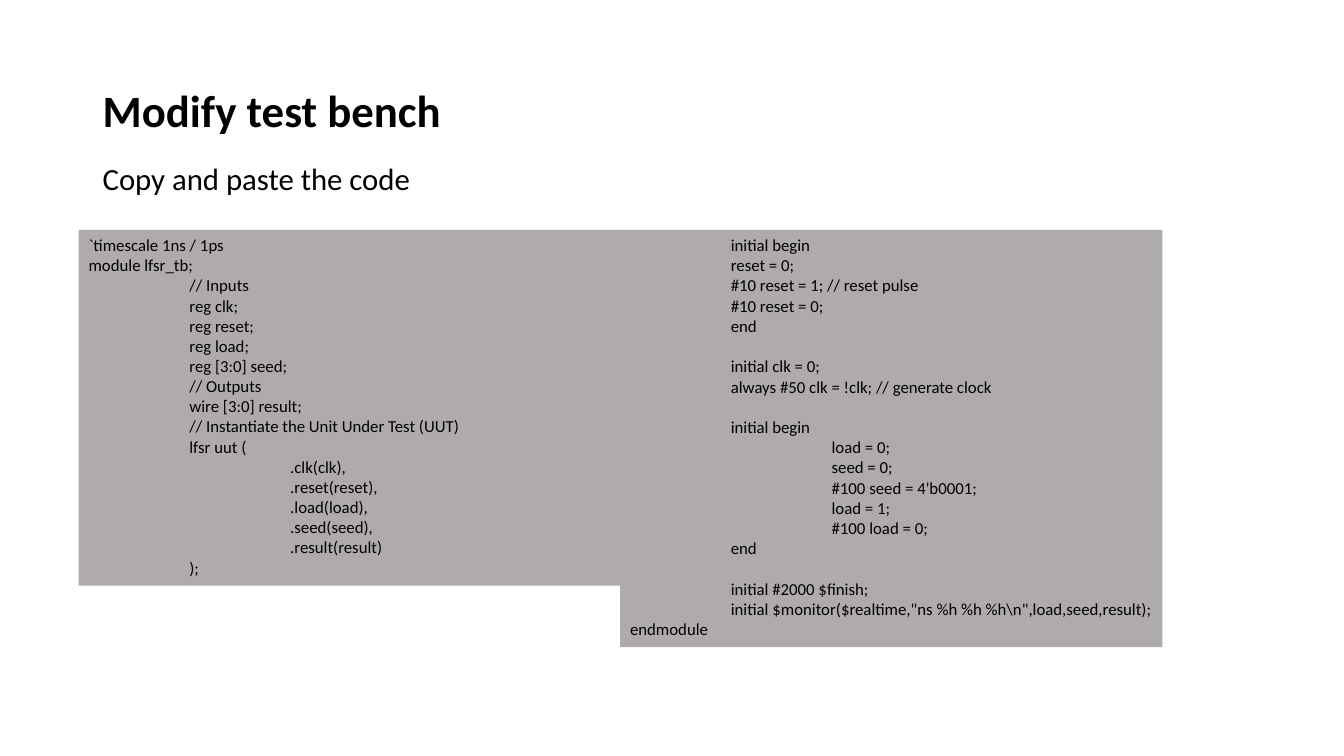
"""Build the slide that shows the test bench code in two panels."""
from dataclasses import dataclass

from pptx import Presentation
from pptx import util as u
from pptx.dml import color
from pptx.enum import shapes, text

EMU_PER_PX = 9144


@dataclass(frozen=True)
class Theme:
    font: str = "Calibri"
    ink: color.RGBColor = color.RGBColor(0, 0, 0)
    panel: color.RGBColor = color.RGBColor(0xAF, 0xAB, 0xAB)
    title_size: int = 32
    body_size: int = 22
    code_size: int = 12
    blank_line: float = 14.65
    heading_spacing: float = 0.9
    tab_px: int = 100
    inset_px: int = 10


@dataclass(frozen=True)
class Box:
    left: int
    top: int
    width: int
    height: int


@dataclass(frozen=True)
class Heading:
    box: Box
    words: str
    size: int
    bold: bool
    anchor: text.MSO_ANCHOR


@dataclass(frozen=True)
class CodePanel:
    box: Box
    code: str


THEME = Theme()

HEADINGS = (
    Heading(Box(92, 40, 1150, 145), "Modify test bench",
            THEME.title_size, True, text.MSO_ANCHOR.MIDDLE),
    Heading(Box(92, 158, 656, 518), "Copy and paste the code",
            THEME.body_size, False, text.MSO_ANCHOR.TOP),
)

DECLARATIONS = """\
`timescale 1ns / 1ps
module lfsr_tb;
    // Inputs
    reg clk;
    reg reset;
    reg load;
    reg [3:0] seed;
    // Outputs
    wire [3:0] result;
    // Instantiate the Unit Under Test (UUT)
    lfsr uut (
        .clk(clk),
        .reset(reset),
        .load(load),
        .seed(seed),
        .result(result)
    );"""

STIMULUS = r"""    initial begin
    reset = 0;
    #10 reset = 1; // reset pulse
    #10 reset = 0;
    end

    initial clk = 0;
    always #50 clk = !clk; // generate clock

    initial begin
        load = 0;
        seed = 0;
        #100 seed = 4'b0001;
        load = 1;
        #100 load = 0;
    end

    initial #2000 $finish;
    initial $monitor($realtime,"ns %h %h %h\n",load,seed,result);
endmodule"""

PANELS = (
    CodePanel(Box(615, 228, 538, 414), STIMULUS),
    CodePanel(Box(78, 228, 538, 353), DECLARATIONS),
)


def px(length: int) -> u.Emu:
    """Turn pixels into EMU."""
    return u.Emu(length * EMU_PER_PX)


def place(box: Box) -> tuple[u.Emu, ...]:
    """Give the left, top, width and height of a box in EMU."""
    return px(box.left), px(box.top), px(box.width), px(box.height)


def style(paragraph, size: int, bold: bool = False) -> None:
    """Set the font of a whole paragraph."""
    paragraph.alignment = text.PP_ALIGN.LEFT
    paragraph.font.name = THEME.font
    paragraph.font.size = u.Pt(size)
    paragraph.font.bold = bold
    paragraph.font.color.rgb = THEME.ink


def draw_heading(slide, heading: Heading) -> None:
    """Draw one line of heading text."""
    frame = slide.shapes.add_textbox(*place(heading.box)).text_frame
    frame.word_wrap = True
    frame.vertical_anchor = heading.anchor
    paragraph = frame.paragraphs[0]
    paragraph.text = heading.words
    paragraph.line_spacing = THEME.heading_spacing
    style(paragraph, heading.size, heading.bold)


def draw_panel(slide, panel: CodePanel) -> None:
    """Draw a filled panel with one paragraph per line of code."""
    shape = slide.shapes.add_shape(shapes.MSO_SHAPE.RECTANGLE, *place(panel.box))
    shape.shadow.inherit = False
    shape.fill.solid()
    shape.fill.fore_color.rgb = THEME.panel
    shape.line.fill.background()
    frame = shape.text_frame
    frame.word_wrap = True
    frame.vertical_anchor = text.MSO_ANCHOR.TOP
    frame.margin_left = px(THEME.inset_px)
    frame.margin_right = 0
    paragraph = None
    for line in panel.code.splitlines():
        if not line:
            paragraph.space_after = u.Pt(THEME.blank_line)
            continue
        paragraph = frame.add_paragraph() if paragraph else frame.paragraphs[0]
        paragraph.text = line.lstrip()
        depth = (len(line) - len(paragraph.text)) // 4
        properties = paragraph._p.get_or_add_pPr()
        properties.set("marL", str(px(depth * THEME.tab_px)))
        properties.set("indent", "0")
        style(paragraph, THEME.code_size)


def main() -> None:
    """Build the presentation and save it."""
    presentation = Presentation()
    presentation.slide_width = px(1333)
    presentation.slide_height = px(750)
    slide = presentation.slides.add_slide(presentation.slide_layouts[6])
    for heading in HEADINGS:
        draw_heading(slide, heading)
    for panel in PANELS:
        draw_panel(slide, panel)
    presentation.save("out.pptx")


if __name__ == "__main__":
    main()
